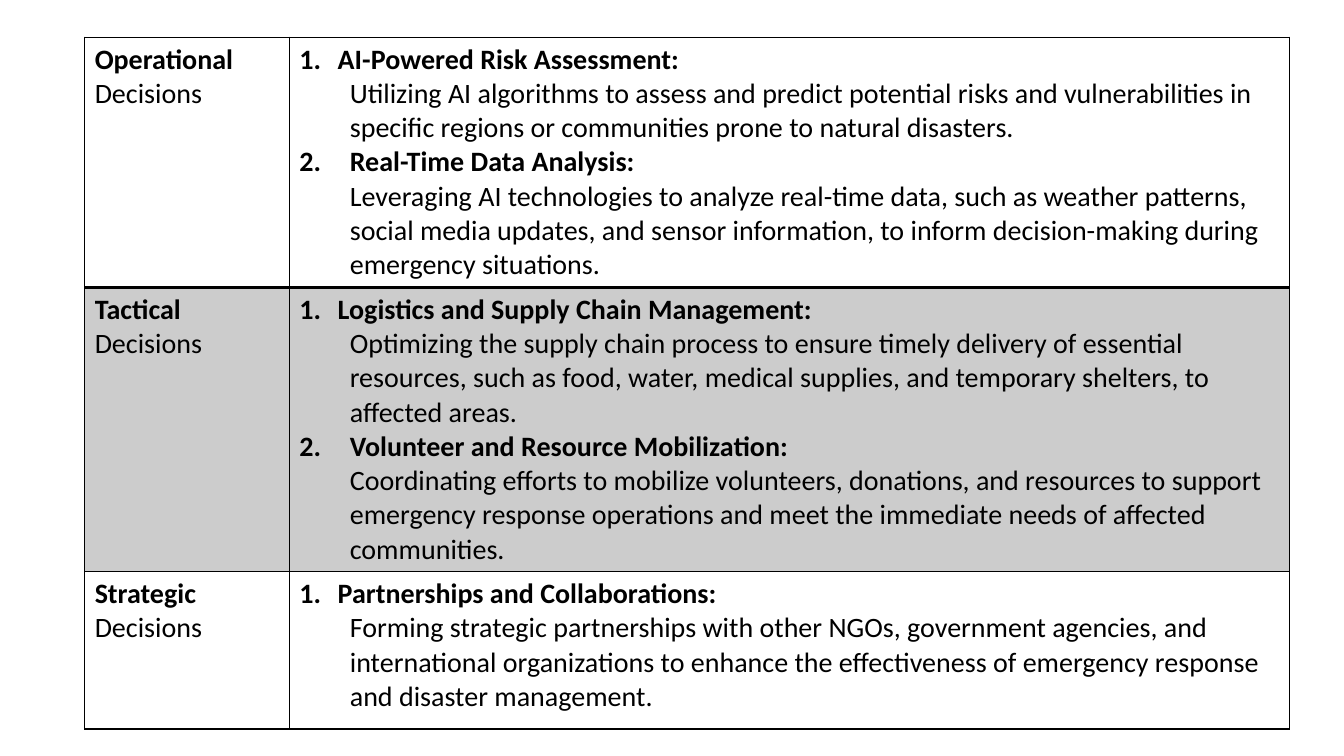
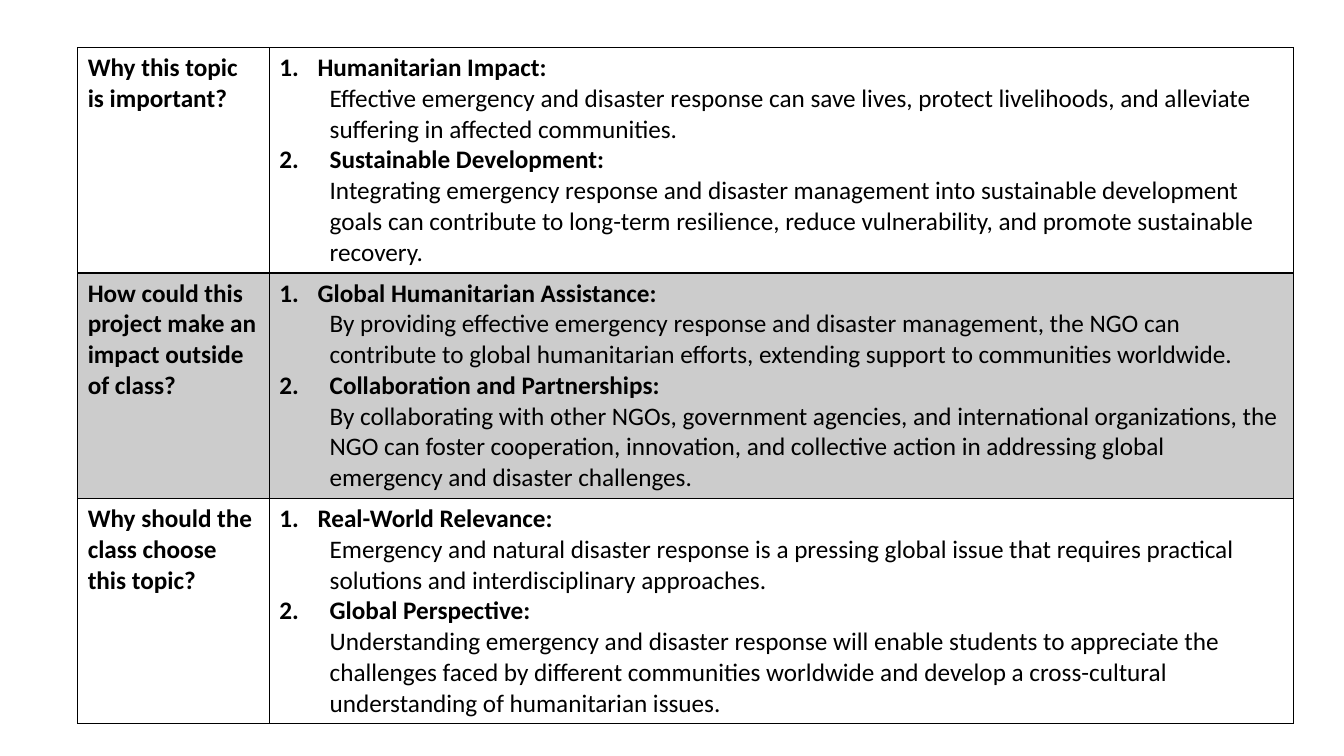
from pptx import Presentation, util as u
from pptx.dml.color import RGBColor
from pptx.oxml import parse_xml
from pptx.oxml.ns import nsdecls

COLORS = {"ink": "000000", "shade": "CCCCCC"}
FONT = "Calibri"
HANGING_FIRST, HANGING_NEXT = 0.38, 0.5

presentation = Presentation()
presentation.slide_width = u.Inches(13.33)
presentation.slide_height = u.Inches(7.5)
column_unit = presentation.slide_width / 100
row_unit = presentation.slide_height / 100


def write(paragraph, text, size=20, bold=False, margin=0, hanging=0, number=None):
    run = paragraph.add_run()
    run.text = text
    run.font.name = FONT
    run.font.size = u.Pt(size)
    run.font.bold = bold
    run.font.color.rgb = RGBColor.from_string(COLORS["ink"])
    properties = paragraph._p.get_or_add_pPr()
    properties.set("marL", str(u.Inches(margin)))
    properties.set("indent", str(-u.Inches(hanging)))
    if number:
        properties.append(parse_xml(
            f'<a:buAutoNum {nsdecls("a")} type="arabicPeriod" startAt="{number}"/>'))


def draw_border(cell, side, points):
    cell._tc.get_or_add_tcPr().append(parse_xml(
        f'<a:ln{side} {nsdecls("a")} w="{u.Pt(points)}"><a:solidFill>'
        f'<a:srgbClr val="{COLORS["ink"]}"/></a:solidFill></a:ln{side}>'))


tables = [
    {
        "left": 6.3, "top": 4.93, "size": 20,
        "columns": [15.23, 74.42], "rows": [32.93, 37.6, 20.8],
        "content": [
            ("Operational", " Decisions", [
                ("AI-Powered Risk Assessment:",
                 "Utilizing AI algorithms to assess and predict potential risks and "
                 "vulnerabilities in specific regions or communities prone to natural disasters."),
                ("Real-Time Data Analysis:",
                 "Leveraging AI technologies to analyze real-time data, such as weather patterns, "
                 "social media updates, and sensor information, to inform decision-making during "
                 "emergency situations."),
            ]),
            ("Tactical", " Decisions", [
                ("Logistics and Supply Chain Management:",
                 "Optimizing the supply chain process to ensure timely delivery of essential "
                 "resources, such as food, water, medical supplies, and temporary shelters, to "
                 "affected areas."),
                ("Volunteer and Resource Mobilization:",
                 "Coordinating efforts to mobilize volunteers, donations, and resources to support "
                 "emergency response operations and meet the immediate needs of affected "
                 "communities."),
            ]),
            ("Strategic", " Decisions", [
                ("Partnerships and Collaborations:",
                 "Forming strategic partnerships with other NGOs, government agencies, and "
                 "international organizations to enhance the effectiveness of emergency response "
                 "and disaster management."),
            ]),
        ],
    },
    {
        "left": 5.78, "top": 6.3, "size": 18,
        "columns": [14.25, 76.22], "rows": [29.8, 29.8, 29.8],
        "content": [
            ("Why this topic is important?", "", [
                ("Humanitarian Impact:",
                 "Effective emergency and disaster response can save lives, protect livelihoods, "
                 "and alleviate suffering in affected communities."),
                ("Sustainable Development:",
                 "Integrating emergency response and disaster management into sustainable "
                 "development goals can contribute to long-term resilience, reduce vulnerability, "
                 "and promote sustainable recovery."),
            ]),
            ("How could this project make an impact outside of class?", "", [
                ("Global Humanitarian Assistance:",
                 "By providing effective emergency response and disaster management, the NGO can "
                 "contribute to global humanitarian efforts, extending support to communities "
                 "worldwide."),
                ("Collaboration and Partnerships:",
                 "By collaborating with other NGOs, government agencies, and international "
                 "organizations, the NGO can foster cooperation, innovation, and collective action "
                 "in addressing global emergency and disaster challenges."),
            ]),
            ("Why should the class choose this topic?", "", [
                ("Real-World Relevance:",
                 "Emergency and natural disaster response is a pressing global issue that requires "
                 "practical solutions and interdisciplinary approaches."),
                ("Global Perspective:",
                 "Understanding emergency and disaster response will enable students to appreciate "
                 "the challenges faced by different communities worldwide and develop a "
                 "cross-cultural understanding of humanitarian issues."),
            ]),
        ],
    },
]

for layout in tables:
    slide = presentation.slides.add_slide(presentation.slide_layouts[6])
    size = layout["size"]
    table = slide.shapes.add_table(
        len(layout["rows"]), len(layout["columns"]),
        int(layout["left"] * column_unit), int(layout["top"] * row_unit),
        int(sum(layout["columns"]) * column_unit), int(sum(layout["rows"]) * row_unit)).table
    table.first_row = False
    table.horz_banding = False
    for column, width in zip(table.columns, layout["columns"]):
        column.width = int(width * column_unit)

    for index, (label, suffix, points) in enumerate(layout["content"]):
        table.rows[index].height = int(layout["rows"][index] * row_unit)
        label_cell, detail_cell = table.rows[index].cells
        for cell in (label_cell, detail_cell):
            for side in "LRTB":
                heavy = (index, side) in [(0, "B"), (1, "T")]
                draw_border(cell, side, 2 if heavy else 1)
            if index == 1:
                cell.fill.solid()
                cell.fill.fore_color.rgb = RGBColor.from_string(COLORS["shade"])
            else:
                cell.fill.background()

        label_paragraph = label_cell.text_frame.paragraphs[0]
        write(label_paragraph, label, size=size, bold=True)
        if suffix:
            write(label_paragraph, suffix, size=size)

        frame = detail_cell.text_frame
        for number, (heading, body) in enumerate(points, start=1):
            hanging = HANGING_FIRST if number == 1 else HANGING_NEXT
            paragraph = frame.paragraphs[0] if number == 1 else frame.add_paragraph()
            write(paragraph, heading, size=size, bold=True,
                  margin=hanging, hanging=hanging, number=number)
            paragraph = frame.add_paragraph()
            paragraph.level = 1
            write(paragraph, body, size=size, margin=HANGING_NEXT)

presentation.save("out.pptx")
